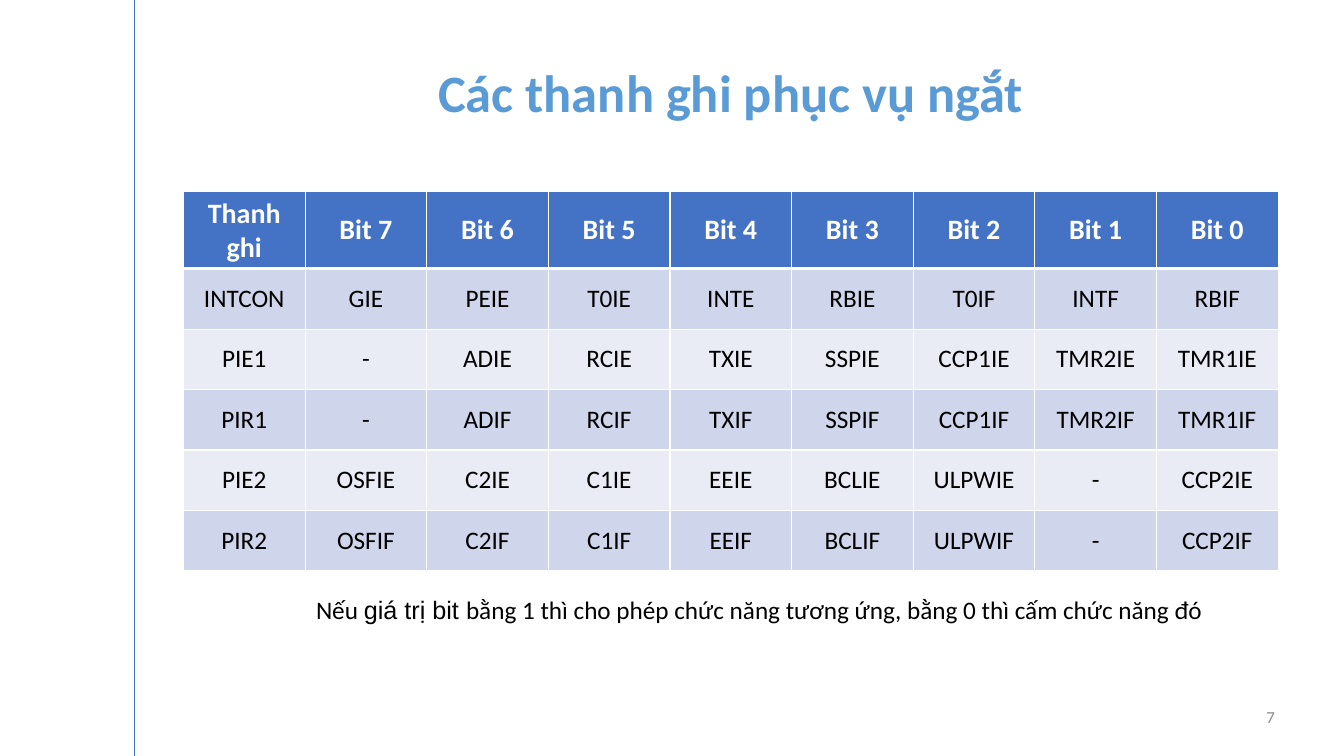
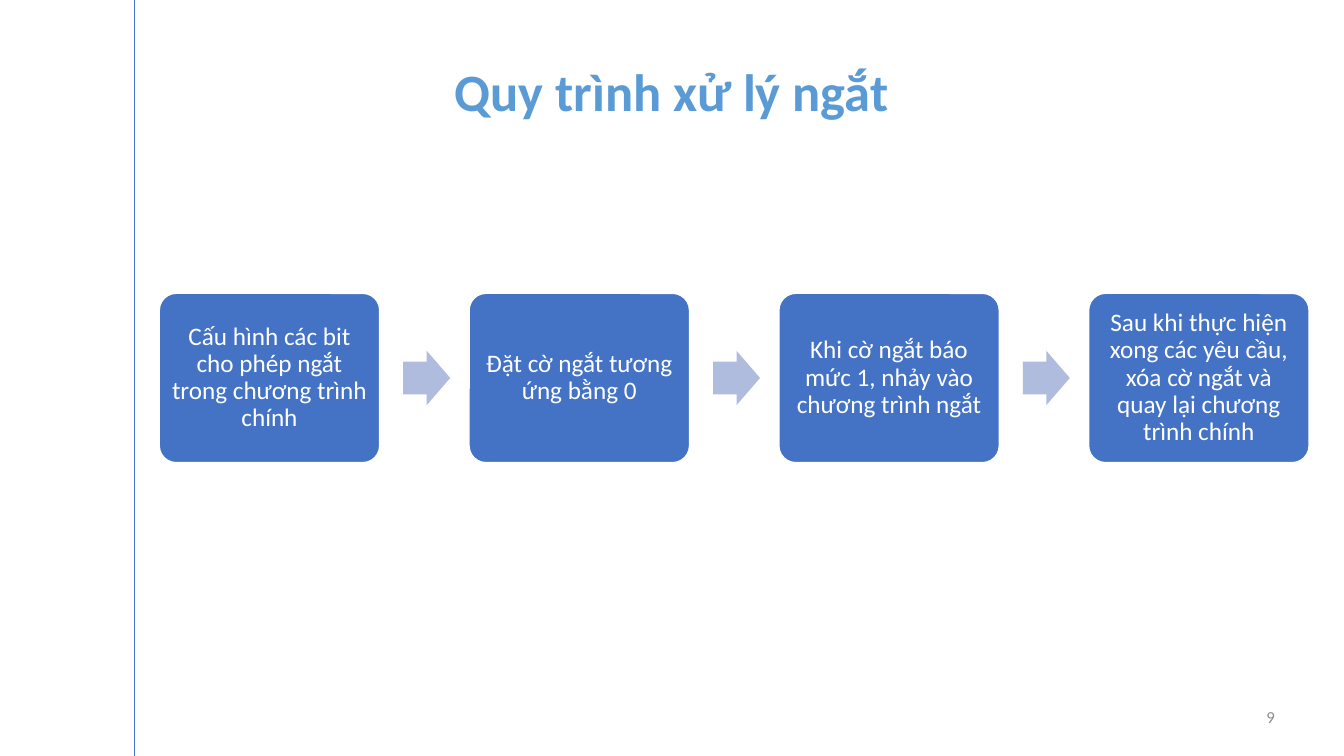
import pptx
import pptx.util
import pptx.dml.color
import pptx.enum.shapes
import pptx.enum.text
import pptx.oxml.ns
from lxml import etree

Pt = pptx.util.Pt
SHAPE = pptx.enum.shapes.MSO_SHAPE
ALIGN = pptx.enum.text.PP_ALIGN
ANCHOR = pptx.enum.text.MSO_ANCHOR
qn = pptx.oxml.ns.qn
rgb = pptx.dml.color.RGBColor.from_string

FONT = "Calibri"
BLUE, TITLE_BLUE, ARROW_BLUE = "4472C4", "5B9BD5", "B0BCDE"
BANDS = ["CFD5EA", "E9EBF5"]
WHITE, BLACK, GREY = "FFFFFF", "000000", "8C8C8C"

prs = pptx.Presentation()
prs.slide_width = pptx.util.Inches(13.33)
prs.slide_height = pptx.util.Inches(7.5)


def at(x, y, w, h):
    """Turn percentages of the slide's width and height into lengths."""
    col, row = prs.slide_width / 100, prs.slide_height / 100
    return round(x * col), round(y * row), round(w * col), round(h * row)


def write(tf, runs, size, color, bold=False, align=ALIGN.CENTER, anchor=ANCHOR.MIDDLE):
    """Fill the first paragraph with (text, font) runs and return it."""
    tf.word_wrap = True
    tf.vertical_anchor = anchor
    p = tf.paragraphs[0]
    p.alignment = align
    for text, font in runs:
        r = p.add_run()
        r.text = text
        r.font.name, r.font.size, r.font.bold = font, Pt(size), bold
        r.font.color.rgb = rgb(color)
    return p


# Shared frame: side rule, title and page number
pages = [("Các thanh ghi phục vụ ngắt", 8.4, 8.8, "7"),
         ("Quy trình xử lý ngắt", 4, 8.7, "9")]
slides = []
for title, left, top, number in pages:
    s = prs.slides.add_slide(prs.slide_layouts[5])
    slides.append(s)

    x, y, w, h = at(10, 0, 0, 100)
    rule = s.shapes.add_connector(pptx.enum.shapes.MSO_CONNECTOR.STRAIGHT, x, y, x, h)
    rule.line.color.rgb = rgb(BLUE)
    rule.line.width = Pt(0.5)
    etree.SubElement(rule._element.spPr, qn("a:effectLst"))

    sp = s.shapes.title
    sp.left, sp.top, sp.width, sp.height = at(left, top, 92, 7.9)
    sp.text_frame.auto_size = pptx.enum.text.MSO_AUTO_SIZE.NONE
    p = write(sp.text_frame, [(title, FONT)], 37.5, TITLE_BLUE, bold=True, anchor=ANCHOR.BOTTOM)
    p.line_spacing = 0.7

    sp = s.shapes.add_textbox(*at(92.3, 92.1, 3.3, 5.4))
    write(sp.text_frame, [(number, FONT)], 12, GREY, align=ALIGN.RIGHT)

# Interrupt registers
s = slides[0]
registers = [
    ["Thanh ghi"] + [f"Bit {bit}" for bit in range(7, -1, -1)],
    "INTCON GIE PEIE T0IE INTE RBIE T0IF INTF RBIF".split(),
    "PIE1 - ADIE RCIE TXIE SSPIE CCP1IE TMR2IE TMR1IE".split(),
    "PIR1 - ADIF RCIF TXIF SSPIF CCP1IF TMR2IF TMR1IF".split(),
    "PIE2 OSFIE C2IE C1IE EEIE BCLIE ULPWIE - CCP2IE".split(),
    "PIR2 OSFIF C2IF C1IF EEIF BCLIF ULPWIF - CCP2IF".split(),
]
n_rows, n_cols = len(registers), len(registers[0])
table = s.shapes.add_table(n_rows, n_cols, *at(13.65, 25.3, 9.05 * n_cols, 49.3)).table
for i, names in enumerate(registers):
    header = i == 0
    table.rows[i].height = at(0, 0, 0, 9.3 if header else 8)[3]
    for j, name in enumerate(names):
        cell = table.cell(i, j)
        write(cell.text_frame, [(name, FONT)], 20 if header else 18,
              WHITE if header else BLACK, bold=header)
        cell.vertical_anchor = ANCHOR.MIDDLE
        tcPr = cell._tc.get_or_add_tcPr()
        for side in "LRTB":
            thick = (i, side) in [(0, "B"), (1, "T")]
            ln = etree.SubElement(tcPr, qn(f"a:ln{side}"), w=str(Pt(3 if thick else 1)))
            fill = etree.SubElement(ln, qn("a:solidFill"))
            etree.SubElement(fill, qn("a:srgbClr"), val=WHITE)
        cell.fill.solid()
        cell.fill.fore_color.rgb = rgb(BLUE if header else BANDS[(i - 1) % 2])

sp = s.shapes.add_textbox(*at(16.35, 78, 80.3, 5.4))
write(sp.text_frame, [
    ("Nếu ", FONT),
    ("giá trị bit ", "Arial"),
    ("bằng 1 thì cho phép chức năng tương ứng, bằng 0 thì cấm chức năng đó", FONT),
], 18, BLACK, anchor=ANCHOR.TOP)

# Interrupt handling steps
s = slides[1]
steps = [
    "Cấu hình các bit cho phép ngắt trong chương trình chính",
    "Đặt cờ ngắt tương ứng bằng 0",
    "Khi cờ ngắt báo mức 1, nhảy vào chương trình ngắt",
    "Sau khi thực hiện xong các yêu cầu, xóa cờ ngắt và quay lại chương trình chính",
]
for i, step in enumerate(steps):
    left = 11.85 + 23.05 * i
    box = s.shapes.add_shape(SHAPE.ROUNDED_RECTANGLE, *at(left, 38.8, 16.4, 22.4))
    box.adjustments[0] = 0.1
    box.shadow.inherit = False
    box.fill.solid()
    box.fill.fore_color.rgb = rgb(BLUE)
    box.line.color.rgb = rgb(WHITE)
    box.line.width = Pt(1)
    tf = box.text_frame
    tf.margin_left = tf.margin_right = tf.margin_top = tf.margin_bottom = pptx.util.Inches(0.07)
    write(tf, [(step, FONT)], 18, WHITE).line_spacing = 0.9

    if i < len(steps) - 1:
        arrow = s.shapes.add_shape(SHAPE.RIGHT_ARROW, *at(left + 18.15, 46.4, 3.5, 7.2))
        arrow.adjustments[0] = 0.6
        arrow.adjustments[1] = 0.5
        arrow.shadow.inherit = False
        arrow.fill.solid()
        arrow.fill.fore_color.rgb = rgb(ARROW_BLUE)
        arrow.line.fill.background()

prs.save("out.pptx")
